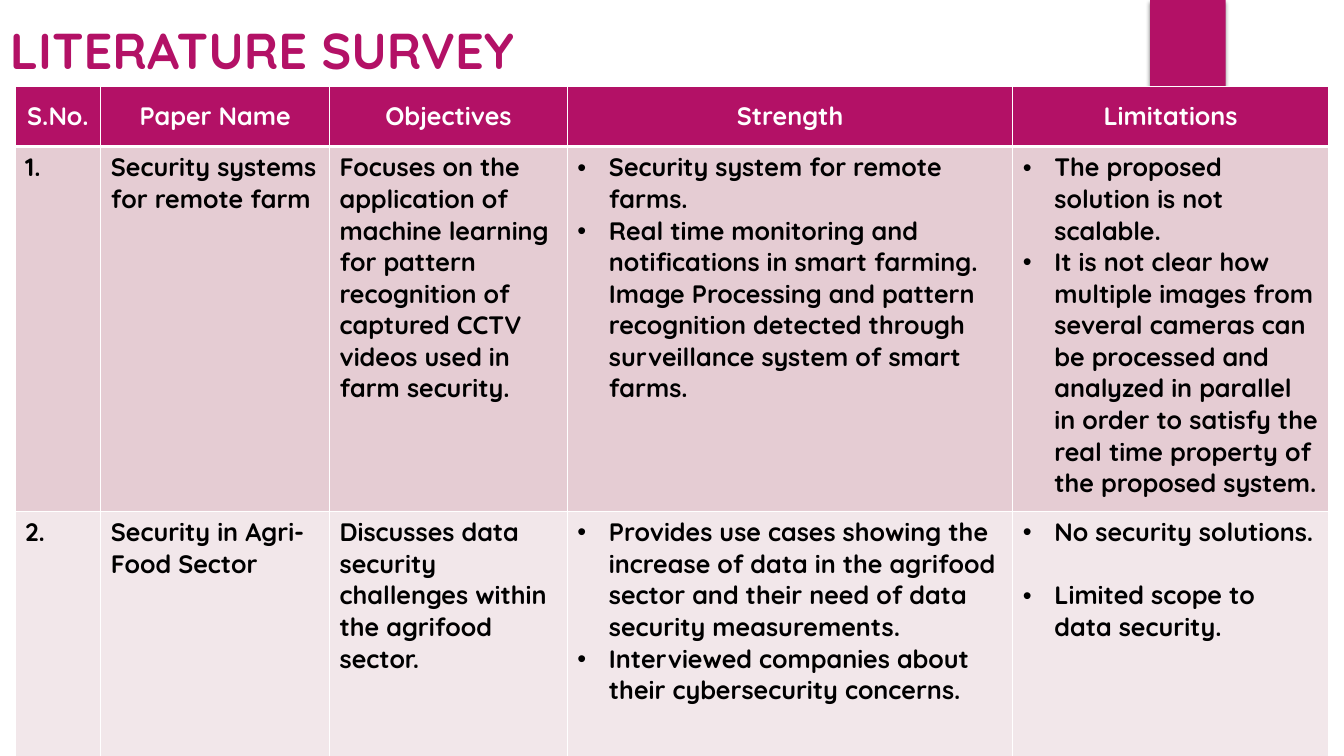
"""Build the literature survey slide."""
from lxml.etree import SubElement
from pptx import Presentation
from pptx.dml.color import RGBColor
from pptx.enum.shapes import MSO_SHAPE
from pptx.enum.text import MSO_ANCHOR, PP_ALIGN
from pptx.oxml import parse_xml
from pptx.oxml.ns import nsdecls, qn
from pptx.util import Pt

PINK = RGBColor(0xB3, 0x11, 0x66)
ROSE = RGBColor(0xE5, 0xCC, 0xD3)
PALE = RGBColor(0xF2, 0xE7, 0xEA)
WHITE = RGBColor(0xFF, 0xFF, 0xFF)
BLACK = RGBColor(0, 0, 0)

WIDTHS = [61.2, 163.4, 169.9, 318.2, 225.4]
HEIGHTS = [43.2, 260.6, 185.8]
INDENT = 22.5
LINE = 22.5
ROWS = [
    ["S.No.", "Paper Name", "Objectives", "Strength", "Limitations"],
    [
        "1.",
        "Security systems for remote farm",
        "Focuses on the application of machine learning for pattern recognition "
        "of captured CCTV videos used in farm security.",
        ["Security system for remote farms.",
         "Real time monitoring and notifications in smart farming. Image Processing "
         "and pattern recognition detected through surveillance system of smart farms."],
        ["The proposed solution is not scalable.",
         "It is not clear how multiple images from several cameras can be processed "
         "and analyzed in parallel in order to satisfy the real time property of "
         "the proposed system."],
    ],
    [
        "2.",
        "Security in Agri-Food Sector",
        "Discusses data security challenges within the agrifood sector.",
        ["Provides use cases showing the increase of data in the agrifood sector "
         "and their need of data security measurements.",
         "Interviewed companies about their cybersecurity concerns."],
        ["No security solutions.", "Limited scope to data security."],
    ],
]


def write(para, text, size, color):
    run = para.add_run()
    run.text = text
    run.font.color.rgb = color
    for name, value in {"name": "Quicksand", "size": Pt(size), "bold": True}.items():
        setattr(run.font, name, value)


def edge(cell, sides):
    props = cell._tc.get_or_add_tcPr()
    for spot, (side, width) in enumerate(sides.items()):
        props.insert(spot, parse_xml(
            f'<a:ln{side} {nsdecls("a")} w="{Pt(width)}"><a:solidFill>'
            f'<a:srgbClr val="{WHITE}"/></a:solidFill></a:ln{side}>'))


deck = Presentation()
deck.slide_width, deck.slide_height = Pt(960), Pt(540)
slide = deck.slides.add_slide(deck.slide_layouts[6])

tab = slide.shapes.add_shape(MSO_SHAPE.RECTANGLE, Pt(821.5), 0, Pt(54), Pt(90))
tab.fill.solid()
tab.fill.fore_color.rgb = PINK
tab.line.fill.background()
tab.shadow.inherit = False
effects = tab._element.spPr.find(qn("a:effectLst"))
effects.append(parse_xml(
    f'<a:outerShdw {nsdecls("a")} blurRad="{Pt(3)}" dist="{Pt(2)}" dir="5400000" '
    'rotWithShape="0"><a:srgbClr val="000000"><a:alpha val="45000"/></a:srgbClr>'
    '</a:outerShdw>'))

title = slide.shapes.add_textbox(0, 0, Pt(690), Pt(70.6)).text_frame
title.word_wrap = True
title.vertical_anchor = MSO_ANCHOR.MIDDLE
write(title.paragraphs[0], "LITERATURE SURVEY", 36, PINK)

table = slide.shapes.add_table(
    len(ROWS), len(WIDTHS), Pt(10.8), Pt(61.5),
    Pt(sum(WIDTHS)), Pt(sum(HEIGHTS))).table
for column, width in zip(table.columns, WIDTHS):
    column.width = Pt(width)
for row, height in zip(table.rows, HEIGHTS):
    row.height = Pt(height)

for r, (row, fill) in enumerate(zip(ROWS, [PINK, ROSE, PALE])):
    head = r == 0
    for c, entry in enumerate(row):
        cell = table.cell(r, c)
        cell.fill.solid()
        cell.fill.fore_color.rgb = fill
        cell.vertical_anchor = MSO_ANCHOR.MIDDLE if head else MSO_ANCHOR.TOP
        edge(cell, {"L": 1, "R": 1, "T": 3 if r == 1 else 1, "B": 3 if head else 1})
        listed = isinstance(entry, list)
        frame = cell.text_frame
        for i, text in enumerate(entry if listed else [entry]):
            para = frame.add_paragraph() if i else frame.paragraphs[0]
            para.alignment = PP_ALIGN.CENTER if head else PP_ALIGN.LEFT
            write(para, text, 18, WHITE if head else BLACK)
            if listed:
                if i and (r, c) == (2, 4):
                    para.space_before = Pt(LINE)
                props = para._p.get_or_add_pPr()
                props.set("marL", str(Pt(INDENT)))
                props.set("indent", str(-Pt(INDENT)))
                SubElement(props, qn("a:buFont"), typeface="Arial")
                SubElement(props, qn("a:buChar"), char="•")

deck.save("out.pptx")
